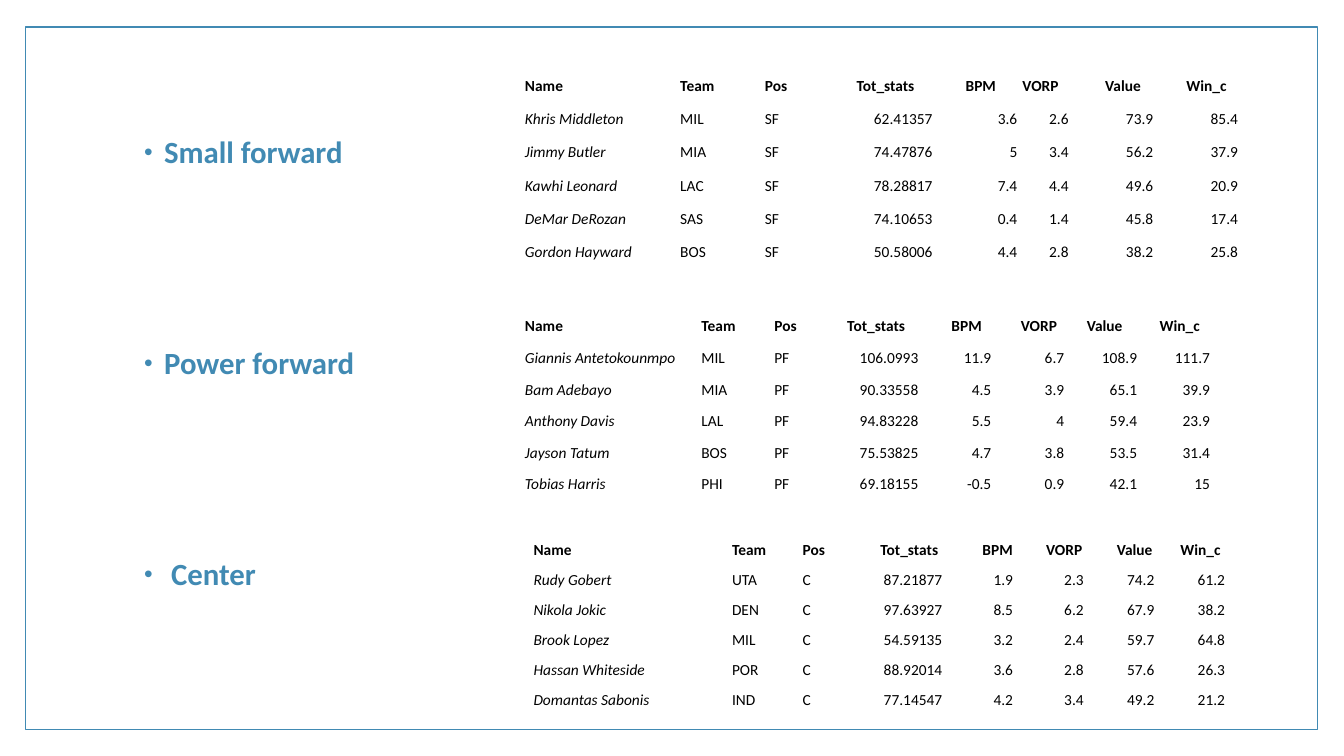
from dataclasses import dataclass

from lxml import etree
from pptx import Presentation
from pptx.dml.color import RGBColor
from pptx.enum.shapes import MSO_SHAPE
from pptx.enum.text import MSO_ANCHOR, PP_ALIGN
from pptx.oxml.ns import qn
from pptx.util import Pt

RECTANGLE = MSO_SHAPE.RECTANGLE
BOTTOM = MSO_ANCHOR.BOTTOM
LEFT, RIGHT = PP_ALIGN.LEFT, PP_ALIGN.RIGHT
NO_STYLE_NO_GRID = "{2D5ABB26-0587-4C30-8999-92F81FD0307C}"


@dataclass(frozen=True)
class Theme:
    accent: RGBColor = RGBColor(0x41, 0x8A, 0xB3)
    paper: RGBColor = RGBColor(0xFF, 0xFF, 0xFF)
    ink: RGBColor = RGBColor(0, 0, 0)
    font: str = "Calibri"
    label_size: float = 22
    table_size: float = 11


THEME = Theme()
HEADERS = ["Name", "Team", "Pos", "Tot_stats", "BPM", "VORP", "Value", "Win_c"]

# Label text and its extra indent in points
LABELS = [("Small forward", 0), ("Power forward", 0), ("Center", 5)]

# Box, column widths, row heights and header indents are in points
TABLES = [
    {
        "box": (374.4, 44.64),
        "widths": [110.9] + [60.5] * 4 + [36.7] + [60.5] * 2,
        "heights": [23.7] * 6,
        "indents": [0, 0, 0, 5, 22.4, 2.5, 24.9, 22.4],
        "position": "SF",
        "players": [
            ("Khris Middleton", "MIL", "62.41357", "3.6", "2.6", "73.9", "85.4"),
            ("Jimmy Butler", "MIA", "74.47876", "5", "3.4", "56.2", "37.9"),
            ("Kawhi Leonard", "LAC", "78.28817", "7.4", "4.4", "49.6", "20.9"),
            ("DeMar DeRozan", "SAS", "74.10653", "0.4", "1.4", "45.8", "17.4"),
            ("Gordon Hayward", "BOS", "50.58006", "4.4", "2.8", "38.2", "25.8"),
        ],
    },
    {
        "box": (374.4, 217.44),
        "widths": [126] + [52.1] * 7,
        "heights": [22.6] * 6,
        "indents": [0, 0, 0, 0, 22.4, 19.9, 14.9, 14.9],
        "position": "PF",
        "players": [
            ("Giannis Antetokounmpo", "MIL", "106.0993", "11.9", "6.7", "108.9", "111.7"),
            ("Bam Adebayo", "MIA", "90.33558", "4.5", "3.9", "65.1", "39.9"),
            ("Anthony Davis", "LAL", "94.83228", "5.5", "4", "59.4", "23.9"),
            ("Jayson Tatum", "BOS", "75.53825", "4.7", "3.8", "53.5", "31.4"),
            ("Tobias Harris", "PHI", "69.18155", "-0.5", "0.9", "42.1", "15"),
        ],
    },
    {
        "box": (380.5, 341.28),
        "widths": [141.8] + [50.5] * 7,
        "heights": [58.3] + [21.45] * 5,
        "indents": [0, 0, 0, 5, 27.4, 22.4, 22.4, 17.4],
        "position": "C",
        "players": [
            ("Rudy Gobert", "UTA", "87.21877", "1.9", "2.3", "74.2", "61.2"),
            ("Nikola Jokic", "DEN", "97.63927", "8.5", "6.2", "67.9", "38.2"),
            ("Brook Lopez", "MIL", "54.59135", "3.2", "2.4", "59.7", "64.8"),
            ("Hassan Whiteside", "POR", "88.92014", "3.6", "2.8", "57.6", "26.3"),
            ("Domantas Sabonis", "IND", "77.14547", "4.2", "3.4", "49.2", "21.2"),
        ],
    },
]


def apply(target, formats):
    for name, value in formats.items():
        setattr(target, name, value)


def write(para, text, size, color, **formats):
    span = para.add_run()
    span.text = text
    span.font.color.rgb = color
    apply(span.font, {"name": THEME.font, "size": Pt(size), **formats})


def indent(para, left, first=0):
    properties = para._p.get_or_add_pPr()
    properties.set("marL", str(Pt(left)))
    properties.set("indent", str(Pt(first)))
    return properties


def add_frame(page, left, top, width, height):
    frame = page.shapes.add_shape(RECTANGLE, Pt(left), Pt(top), Pt(width), Pt(height))
    frame.shadow.inherit = False
    frame.fill.solid()
    frame.fill.fore_color.rgb = THEME.paper
    frame.line.color.rgb = THEME.accent
    frame.line.width = Pt(1)


def add_bullet(properties):
    color = etree.SubElement(properties, qn("a:buClr"))
    etree.SubElement(color, qn("a:srgbClr"), val=str(THEME.accent))
    etree.SubElement(properties, qn("a:buSzPct"), val="80000")
    etree.SubElement(properties, qn("a:buFont"), typeface="Arial")
    etree.SubElement(properties, qn("a:buChar"), char="•")


def add_labels(page, left, top, width, height):
    box = page.shapes.add_textbox(Pt(left), Pt(top), Pt(width), Pt(height))
    box.text_frame.word_wrap = True
    for index, (label, extra) in enumerate(LABELS):
        para = box.text_frame.add_paragraph() if index else box.text_frame.paragraphs[0]
        apply(para, {"line_spacing": 0.9, "space_before": Pt(127 if index else 0)})
        add_bullet(indent(para, 18 + extra, -14.4 - extra))
        write(para, label, THEME.label_size, THEME.accent, bold=True)


def add_stats(page, box, widths, heights, indents, position, players):
    left, top = box
    frame = page.shapes.add_table(len(heights), len(widths), Pt(left), Pt(top),
                                  Pt(sum(widths)), Pt(sum(heights)))
    table = frame.table
    apply(table, {"first_row": False, "horz_banding": False})
    next(table._tbl.iter(qn("a:tableStyleId"))).text = NO_STYLE_NO_GRID
    for column, width in zip(table.columns, widths):
        column.width = Pt(width)
    for row, height in zip(table.rows, heights):
        row.height = Pt(height)

    rows = [HEADERS] + [(name, team, position, *stats) for name, team, *stats in players]
    for row_index, values in enumerate(rows):
        is_header = row_index == 0
        for column_index, value in enumerate(values):
            cell = table.cell(row_index, column_index)
            cell.fill.background()
            apply(cell, {"vertical_anchor": BOTTOM, "margin_left": Pt(0.6),
                         "margin_right": Pt(0.6), "margin_top": Pt(0.6),
                         "margin_bottom": Pt(0)})
            para = cell.text_frame.paragraphs[0]
            para.alignment = LEFT if is_header or column_index < 3 else RIGHT
            if is_header:
                indent(para, indents[column_index])
            write(para, value, THEME.table_size, THEME.ink, bold=is_header,
                  italic=not is_header and column_index == 0)


def main():
    deck = Presentation()
    apply(deck, {"slide_width": Pt(960), "slide_height": Pt(540)})
    page = deck.slides.add_slide(deck.slide_layouts[6])
    # Border, position names, then one table per position
    add_frame(page, 18, 19.4, 923, 501.8)
    add_labels(page, 92.2, 94.3, 260, 381.6)
    for stats in TABLES:
        add_stats(page, **stats)
    deck.save("out.pptx")


if __name__ == "__main__":
    main()
